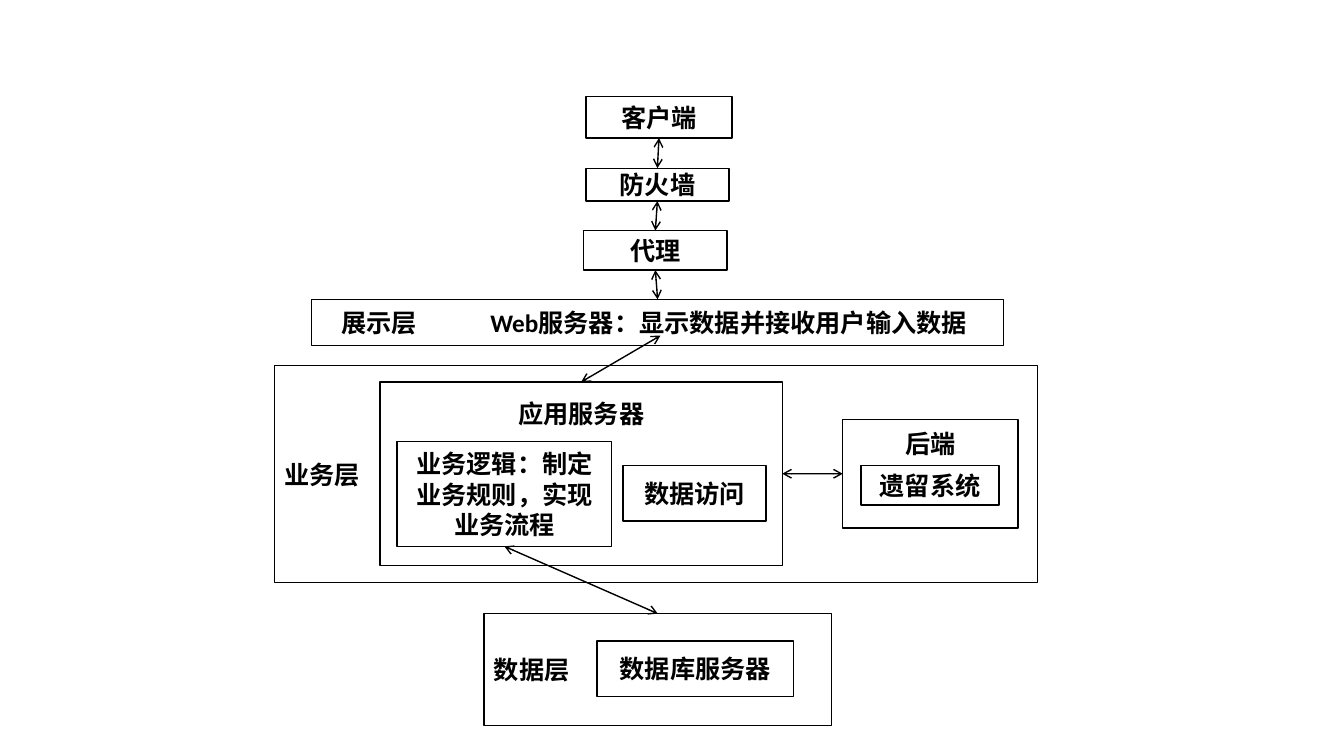
"""Build a slide showing the layers of a web application."""
from dataclasses import dataclass

from lxml import etree
from pptx import Presentation
from pptx.dml.color import RGBColor
from pptx.enum.shapes import MSO_CONNECTOR, MSO_SHAPE
from pptx.enum.text import MSO_ANCHOR, PP_ALIGN
from pptx.oxml.ns import qn
from pptx.util import Inches, Pt

RECTANGLE, STRAIGHT = MSO_SHAPE.RECTANGLE, MSO_CONNECTOR.STRAIGHT
LEFT, CENTER = PP_ALIGN.LEFT, PP_ALIGN.CENTER
TOP, MIDDLE = MSO_ANCHOR.TOP, MSO_ANCHOR.MIDDLE
SITE_TOP, SITE_LEFT, SITE_BOTTOM, SITE_RIGHT = range(4)
SLIDE_WIDTH, SLIDE_HEIGHT = Inches(13.33), Inches(7.5)


@dataclass(frozen=True)
class Theme:
    """Colours and type shared by the whole diagram."""
    ink: RGBColor = RGBColor(0, 0, 0)
    paper: RGBColor = RGBColor(255, 255, 255)
    font: str = "Calibri"
    text_size: Pt = Pt(18)
    line_width: Pt = Pt(1)


@dataclass(frozen=True)
class Node:
    """A labelled box, measured in percent of the slide's size."""
    key: str
    label: str
    left: float
    top: float
    width: float
    height: float
    align: PP_ALIGN = CENTER
    anchor: MSO_ANCHOR = MIDDLE
    inset_left: float = 0.75
    inset_top: float = 0.67
    tab: float = 0


@dataclass(frozen=True)
class Link:
    """A two-way arrow between connection sites of two nodes."""
    start: str
    start_site: int
    end: str
    end_site: int


THEME = Theme()
NODES = [
    Node("client", "客户端", 43.59, 12.8, 10.88, 5.47),
    Node("firewall", "防火墙", 43.59, 22.25, 10.65, 4.35),
    Node("proxy", "代理", 43.44, 30.5, 10.65, 5.23),
    Node("web", "展示层\tWeb服务器：显示数据并接收用户输入数据",
         23.2, 39.6, 51.46, 6.13, align=LEFT, inset_left=2.18, tab=11.1),
    Node("business", "业务层", 20.42, 48.35, 56.79, 28.67, align=LEFT),
    Node("application", "应用服务器", 28.28, 50.53, 29.93, 24.27, anchor=TOP, inset_top=2.13),
    Node("logic", "业务逻辑：制定业务规则，实现业务流程", 29.54, 58.4, 15.98, 13.87),
    Node("backend", "后端", 62.7, 55.47, 13.05, 14.4, anchor=TOP, inset_top=1.2),
    Node("legacy", "遗留系统", 64.05, 61.6, 10.28, 5.2),
    Node("data", "数据层", 36, 81.17, 25.88, 14.8, align=LEFT),
    Node("database", "数据库服务器", 44.41, 84.8, 14.63, 7.33),
    Node("access", "数据访问", 46.35, 61.6, 10.65, 7.33),
]
LINKS = [
    Link("data", SITE_TOP, "logic", SITE_BOTTOM),
    Link("backend", SITE_LEFT, "application", SITE_RIGHT),
    Link("web", SITE_TOP, "proxy", SITE_BOTTOM),
    Link("proxy", SITE_TOP, "firewall", SITE_BOTTOM),
    Link("firewall", SITE_TOP, "client", SITE_BOTTOM),
]
WEB_ENTRY = (49.14, 44.4)  # arrow tip inside the web server box


def across(percent: float) -> int:
    """Turn a share of the slide's width into a length."""
    return round(SLIDE_WIDTH * percent / 100)


def down(percent: float) -> int:
    """Turn a share of the slide's height into a length."""
    return round(SLIDE_HEIGHT * percent / 100)


def add_node(page, node: Node):
    """Draw one labelled box and return it."""
    box = page.shapes.add_shape(RECTANGLE, across(node.left), down(node.top),
                                across(node.width), down(node.height))
    box.shadow.inherit = False
    box.fill.solid()
    box.fill.fore_color.rgb = THEME.paper
    box.line.color.rgb = THEME.ink
    box.line.width = THEME.line_width
    frame = box.text_frame
    frame.word_wrap = True
    frame.vertical_anchor = node.anchor
    frame.margin_left, frame.margin_top = across(node.inset_left), down(node.inset_top)
    para = frame.paragraphs[0]
    para.text = node.label
    para.alignment = node.align
    para.font.name, para.font.size, para.font.bold = THEME.font, THEME.text_size, True
    para.font.color.rgb = THEME.ink
    if node.tab:
        stops = etree.Element(qn("a:tabLst"))
        etree.SubElement(stops, qn("a:tab"), pos=str(across(node.tab)), algn="l")
        para._p.get_or_add_pPr().insert(0, stops)
    return box


def add_arrow(page, start: tuple[float, float], end: tuple[float, float]):
    """Draw a two-headed arrow between two points given in percent."""
    arrow = page.shapes.add_connector(STRAIGHT, across(start[0]), down(start[1]),
                                      across(end[0]), down(end[1]))
    arrow.line.color.rgb = THEME.ink
    arrow.line.width = THEME.line_width
    line = arrow.line._get_or_add_ln()
    for tip in ("a:headEnd", "a:tailEnd"):
        etree.SubElement(line, qn(tip), type="arrow")
    etree.SubElement(arrow._element.spPr, qn("a:effectLst"))
    return arrow


def site_point(node: Node, site: int) -> tuple[float, float]:
    """Return the middle of one side of a node, in percent."""
    x_share = {SITE_LEFT: 0, SITE_RIGHT: 1}.get(site, 0.5)
    y_share = {SITE_TOP: 0, SITE_BOTTOM: 1}.get(site, 0.5)
    return node.left + node.width * x_share, node.top + node.height * y_share


def main() -> None:
    """Build and save the deck."""
    deck = Presentation()
    deck.slide_width, deck.slide_height = SLIDE_WIDTH, SLIDE_HEIGHT
    page = deck.slides.add_slide(deck.slide_layouts.get_by_name("Blank"))
    nodes = {node.key: node for node in NODES}
    boxes = {node.key: add_node(page, node) for node in NODES}
    for link in LINKS:
        arrow = add_arrow(page, site_point(nodes[link.start], link.start_site),
                          site_point(nodes[link.end], link.end_site))
        arrow.begin_connect(boxes[link.start], link.start_site)
        arrow.end_connect(boxes[link.end], link.end_site)
    entry = add_arrow(page, site_point(nodes["application"], SITE_TOP), WEB_ENTRY)
    entry.begin_connect(boxes["application"], SITE_TOP)
    deck.save("out.pptx")


main()
